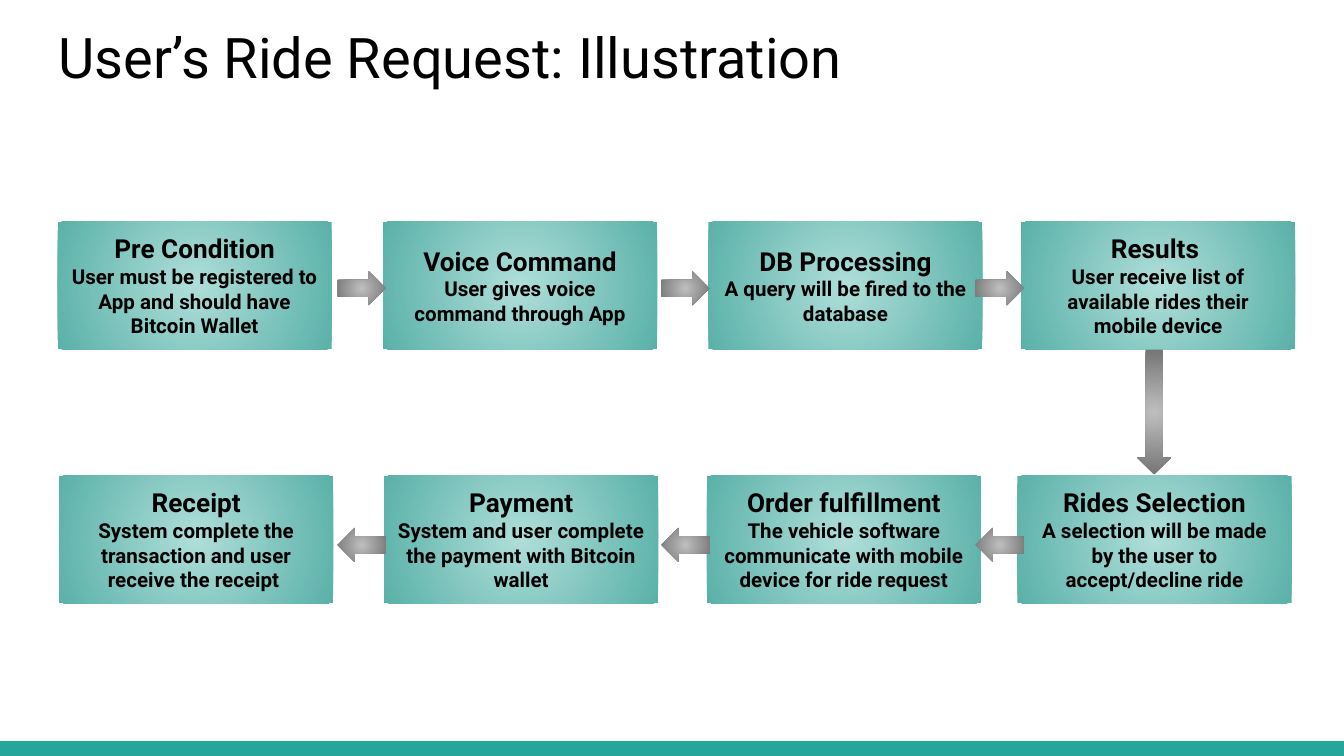
from lxml import etree
from pptx import Presentation
from pptx.dml.color import RGBColor
from pptx.enum.shapes import MSO_SHAPE
from pptx.enum.text import MSO_ANCHOR, PP_ALIGN
from pptx.oxml.ns import qn
from pptx.util import Cm, Pt

RECT = MSO_SHAPE.RECTANGLE
ARROW = MSO_SHAPE.RIGHT_ARROW
MIDDLE = MSO_ANCHOR.MIDDLE
CENTER = PP_ALIGN.CENTER

TEAL = ("AFDEDA", "5AB1A8")
GRAY = ("BFBFBF", "737373")
INSET = Cm(0.25)
FRAME = {
    "word_wrap": True,
    "margin_left": INSET,
    "margin_right": INSET,
    "margin_top": INSET,
    "margin_bottom": INSET,
}
TITLE = {"name": "Roboto", "size": Pt(30), "bold": False}
HEAD = {"name": "Roboto", "size": Pt(14), "bold": True}
BODY = {**HEAD, "size": Pt(11)}

ROWS = [
    (4.19, [
        (1.09, "Pre Condition",
         "User must be registered to App and should have Bitcoin Wallet"),
        (7.24, "Voice Command", "User gives voice command through App"),
        (13.39, "DB Processing", "A query will be fired to the database"),
        (19.3, "Results ",
         "User receive list of available rides their mobile device"),
    ]),
    (8.99, [
        (1.12, "Receipt",
         "System complete the transaction and user receive the receipt "),
        (7.26, "Payment",
         "System and user complete the payment with Bitcoin wallet"),
        (13.36, "Order fulfillment",
         "The vehicle software communicate with mobile device for ride request"),
        (19.23, "Rides Selection",
         "A selection will be made by the user to accept/decline ride"),
    ]),
]
LINKS = [(5.13, 0), (9.98, 180)]
GAPS = [6.38, 12.5, 18.44]


def color(code):
    return RGBColor.from_string(code)


def apply(target, values):
    for name, value in values.items():
        setattr(target, name, value)


def add_shape(slide, kind, left, top, width, height):
    shape = slide.shapes.add_shape(
        kind, Cm(left), Cm(top), Cm(width), Cm(height))
    shape.shadow.inherit = False
    shape.line.fill.background()
    return shape


def shade(shape, codes):
    shape.fill.gradient()
    for stop, code in zip(shape.fill.gradient_stops, codes):
        stop.color.rgb = color(code)
    grad = shape._element.spPr.find(qn("a:gradFill"))
    line = grad.find(qn("a:lin"))
    path = etree.Element(qn("a:path"), path="circle")
    sides = dict.fromkeys("ltrb", "50000")
    etree.SubElement(path, qn("a:fillToRect"), sides)
    grad.replace(line, path)


def write(para, text, style):
    run = para.add_run()
    run.text = text
    apply(run.font, style)
    run.font.color.rgb = color("000000")


def add_title(slide, text):
    box = slide.shapes.add_textbox(Cm(0.86), Cm(0.18), Cm(23.67), Cm(1.7))
    apply(box.text_frame, FRAME)
    write(box.text_frame.paragraphs[0], text, TITLE)


def add_step(slide, left, top, head, body):
    box = add_shape(slide, RECT, left, top, 5.18, 2.41)
    shade(box, TEAL)
    frame = box.text_frame
    apply(frame, {**FRAME, "vertical_anchor": MIDDLE})
    paras = [frame.paragraphs[0], frame.add_paragraph()]
    for para, text, style in zip(paras, (head, body), (HEAD, BODY)):
        para.alignment = CENTER
        write(para, text, style)


def add_arrow(slide, left, top, width, turn):
    arrow = add_shape(slide, ARROW, left, top, width, 0.64)
    arrow.rotation = turn
    shade(arrow, GRAY)


def main():
    deck = Presentation()
    deck.slide_width, deck.slide_height = Cm(25.4), Cm(14.29)
    slide = deck.slides.add_slide(deck.slide_layouts[6])
    bar = add_shape(slide, RECT, 0, 14.01, 25.4, 0.28)
    bar.fill.solid()
    bar.fill.fore_color.rgb = color("26A69A")
    add_title(slide, "User’s Ride Request: Illustration")
    for top, steps in ROWS:
        for left, head, body in steps:
            add_step(slide, left, top, head, body)
    for top, turn in LINKS:
        for left in GAPS:
            add_arrow(slide, left, top, 0.91, turn)
    add_arrow(slide, 20.63, 7.47, 2.36, 90)
    deck.save("out.pptx")


if __name__ == "__main__":
    main()
